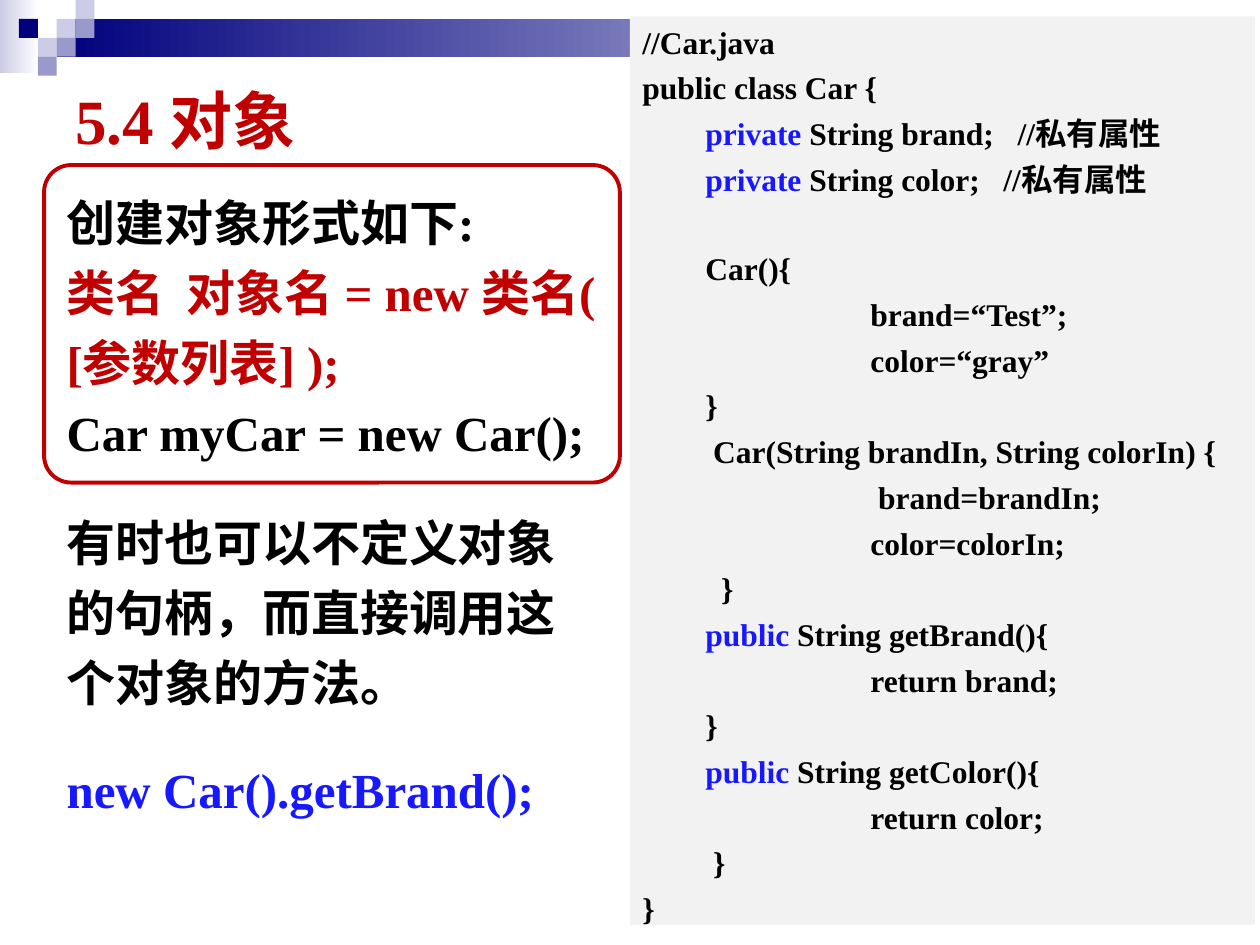
import dataclasses
import pptx
import pptx.dml.color
import pptx.enum.shapes
import pptx.enum.text
import pptx.util
from pptx.util import Inches


@dataclasses.dataclass(frozen=True)
class Theme:
    """Colours, font and type sizes of the slide."""
    navy: str = "00007D"
    mid: str = "9999CC"
    pale: str = "CCCCE6"
    white: str = "FFFFFF"
    gray: str = "F2F2F2"
    red: str = "C00000"
    blue: str = "1818FF"
    black: str = "000000"
    font: str = "Times New Roman"
    title: float = 36
    body: float = 28
    code: float = 18
    lead: float = 40
    gap: float = 4.5
    row: float = 25.2


THEME = Theme()
KINDS = pptx.enum.shapes.MSO_SHAPE
CODE = [
    (0, "", "//Car.java"),
    (0, "", "public class Car {"),
    (1, "private", " String brand;   //私有属性"),
    (1, "private", " String color;   //私有属性"),
    (1, "", "Car(){"),
    (2, "", "brand=“Test”;"),
    (2, "", "color=“gray”"),
    (1, "", "}"),
    (1, "", " Car(String brandIn, String colorIn) {"),
    (2, "", " brand=brandIn;"),
    (2, "", "color=colorIn;"),
    (1, "", "  }"),
    (1, "public", " String getBrand(){"),
    (2, "", "return brand;"),
    (1, "", "}"),
    (1, "public", " String getColor(){"),
    (2, "", "return color;"),
    (1, "", " }"),
    (0, "", "}"),
]
TABS = [0, 0.5, 1.81]
BREAK = 4
TILES = [
    (1, 1, THEME.navy), (2, 2, THEME.pale), (2, 3, THEME.mid),
    (3, 1, THEME.pale), (3, 2, THEME.mid),
    (4, 0, THEME.pale), (4, 1, THEME.mid),
]


def paint(hue):
    """Turn a hex string into a colour."""
    return pptx.dml.color.RGBColor.from_string(hue)


def block(slide, box, fill, end=None, kind=KINDS.RECTANGLE):
    """Add a shape without outline, filled plainly or with a fade to end."""
    shape = slide.shapes.add_shape(kind, *map(Inches, box))
    shape.shadow.inherit = False
    shape.line.fill.background()
    if end:
        shape.fill.gradient()
        shape.fill.gradient_angle = 0
        for stop, hue in zip(shape.fill.gradient_stops, (fill, end)):
            stop.color.rgb = paint(hue)
    else:
        shape.fill.solid()
        shape.fill.fore_color.rgb = paint(fill)
    return shape


def field(slide, box):
    """Add a wrapping text box and return its frame."""
    frame = slide.shapes.add_textbox(*map(Inches, box)).text_frame
    frame.word_wrap = True
    return frame


def write(frame, words, size=THEME.body, hue=THEME.black, lead=None,
          before=0, left=0, key=""):
    """Write one paragraph, led by an optional blue keyword."""
    para = frame.paragraphs[0]
    if para.runs:
        para = frame.add_paragraph()
    para.alignment = pptx.enum.text.PP_ALIGN.LEFT
    para.space_before = pptx.util.Pt(before)
    if lead:
        para.line_spacing = pptx.util.Pt(lead)
    props = para._p.get_or_add_pPr()
    props.set("marL", str(Inches(left)))
    props.set("indent", "0")
    for part, tint in ((key, THEME.blue), (words, hue)):
        if part:
            run = para.add_run()
            run.text = part
            run.font.name = THEME.font
            run.font.size = pptx.util.Pt(size)
            run.font.bold = True
            run.font.color.rgb = paint(tint)


def banner(slide, x, y, wide):
    """Draw the fading bar and its tiles across the top."""
    unit = 0.15
    block(slide, (x, y, 0.31, 0.58), THEME.pale, THEME.white)
    start = 3 * unit
    block(slide, (x + start, y + unit, wide - start, 2 * unit),
          THEME.navy, THEME.white)
    for col, row, hue in TILES:
        block(slide, (x + col * unit, y + row * unit, unit, unit), hue)


def heading(slide, box):
    """Place the title."""
    frame = field(slide, box)
    frame.vertical_anchor = pptx.enum.text.MSO_ANCHOR.MIDDLE
    write(frame, "5.4 对象", size=THEME.title, hue=THEME.red)


def syntax(slide, x, y, wide, high):
    """Place the outlined panel on creating objects."""
    panel = block(slide, (x, y, wide, high), THEME.white,
                  kind=KINDS.ROUNDED_RECTANGLE)
    panel.adjustments[0] = 0.085
    panel.line.color.rgb = paint(THEME.red)
    panel.line.width = pptx.util.Pt(2.25)
    pad = 0.08
    frame = field(slide, (x + pad, y + pad, wide - 2 * pad, high - 2 * pad))
    write(frame, "创建对象形式如下:", lead=THEME.lead)
    write(frame, "类名  对象名 = new 类名( [参数列表] );",
          hue=THEME.red, lead=THEME.lead)
    write(frame, "Car myCar = new Car();", lead=THEME.lead)


def usage(slide, x, y, wide):
    """Place the note on calling without a handle, and its example."""
    note = field(slide, (x, y, wide, 1.78))
    write(note, "有时也可以不定义对象的句柄，而直接调用这个对象的方法。",
          lead=THEME.lead)
    call = field(slide, (x, y + 1.96, wide, 0.61))
    write(call, "new Car().getBrand();", hue=THEME.blue, lead=THEME.lead)


def listing(slide, box):
    """Place the code panel."""
    frame = block(slide, box, THEME.gray).text_frame
    frame.word_wrap = True
    frame.vertical_anchor = pptx.enum.text.MSO_ANCHOR.TOP
    for rank, (level, key, words) in enumerate(CODE):
        before = THEME.gap if rank else 0
        if rank == BREAK:
            before += THEME.row
        write(frame, words, size=THEME.code, before=before,
              left=TABS[level], key=key)


def main():
    """Build and save the slide."""
    deck = pptx.Presentation()
    deck.slide_width, deck.slide_height = Inches(10), Inches(7.5)
    slide = deck.slides.add_slide(deck.slide_layouts[6])
    banner(slide, 0, 0, 10)
    heading(slide, (0.5, 0.2, 2.45, 1.5))
    syntax(slide, 0.35, 1.31, 4.57, 2.52)
    listing(slide, (5, 0.13, 4.96, 7.21))
    usage(slide, 0.43, 3.93, 4.41)
    deck.save("out.pptx")


if __name__ == "__main__":
    main()
